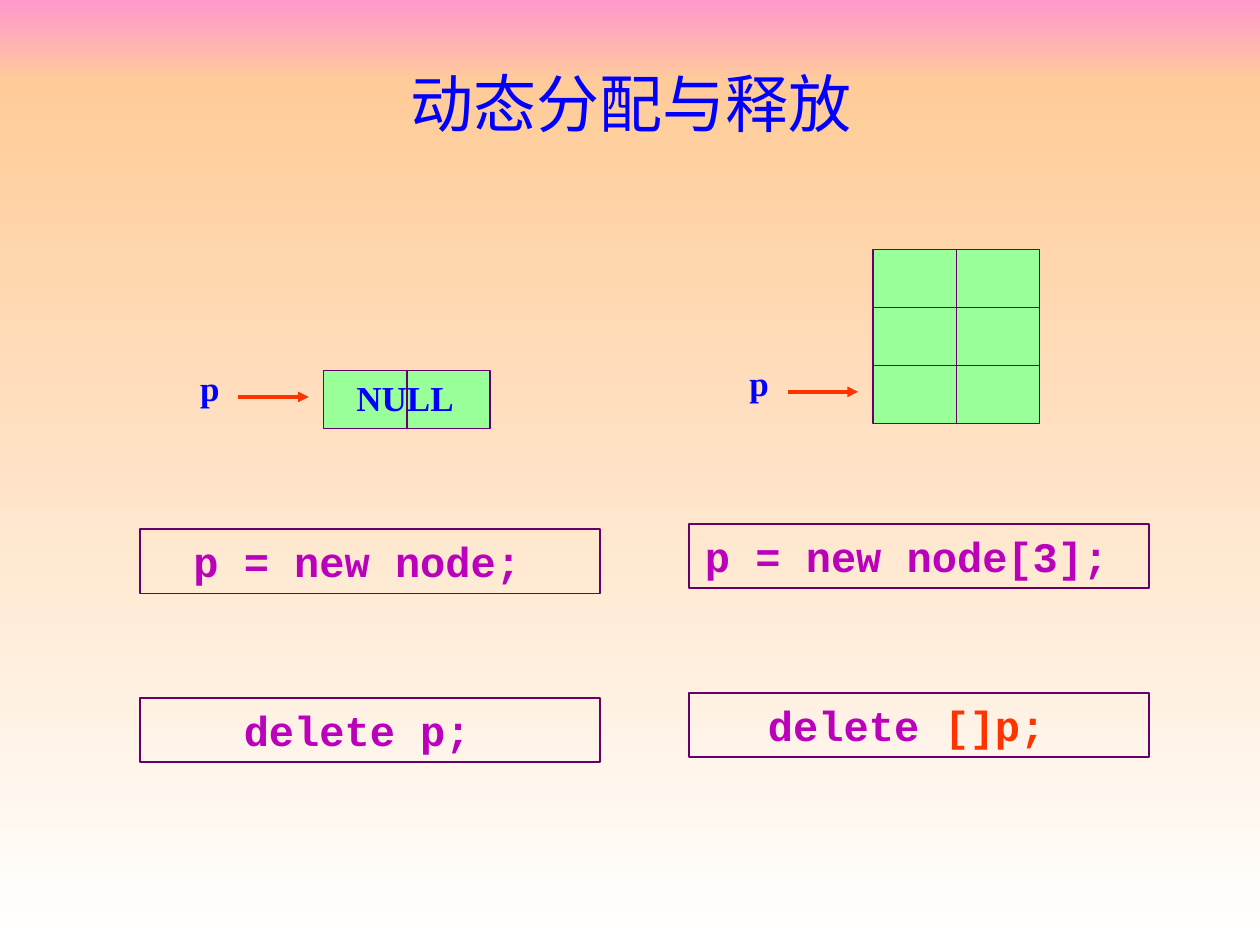
from lxml import etree
from pptx import Presentation
from pptx import util as u
from pptx.dml.color import RGBColor
from pptx.enum import shapes, text
from pptx.oxml.ns import qn

PINK = RGBColor(0xFF, 0x99, 0xCC)
PEACH = RGBColor(0xFF, 0xCC, 0x99)
WHITE = RGBColor(0xFF, 0xFF, 0xFF)
BLUE = RGBColor(0x00, 0x00, 0xFF)
GREEN = RGBColor(0x99, 0xFF, 0x99)
PLUM = RGBColor(0x66, 0x00, 0x66)
MAGENTA = RGBColor(0xBA, 0x00, 0xBA)
RED = RGBColor(0xFF, 0x33, 0x00)

CJK = "Noto Sans CJK SC"
TITLE = {"size": u.Pt(36), "name": CJK, "bold": False}
CODE = {"size": u.Pt(24), "name": "Courier New", "bold": True}
LABEL = {"size": u.Pt(20), "name": "Times New Roman", "bold": True}
CELL_WIDTH, CELL_HEIGHT = 0.66, 0.46


def add_span(para, words, style, colour):
    """Append one formatted run to a paragraph."""
    span = para.add_run()
    span.text = words
    for key, value in style.items():
        setattr(span.font, key, value)
    span.font.color.rgb = colour
    return span


def add_box(parent, left, top, width, height):
    """Add a plain rectangle without fill or shadow."""
    box = parent.shapes.add_shape(
        shapes.MSO_SHAPE.RECTANGLE, *map(u.Inches, (left, top, width, height)))
    box.shadow.inherit = False
    box.fill.background()
    return box


def outline(box, points):
    """Give a rectangle its plum outline."""
    box.line.color.rgb = PLUM
    box.line.width = u.Pt(points)


def add_band(page, top, height, colours):
    """Add a full-width vertical gradient behind the title."""
    band = add_box(page, 0, top, 10, height)
    band.line.fill.background()
    band.fill.gradient()
    band.fill.gradient_angle = 270
    for stop, position, colour in zip(band.fill.gradient_stops, (0, 1), colours):
        stop.position = position
        stop.color.rgb = colour
    page.shapes.title.element.addprevious(band.element)


def add_title(page, left, top, width, height, words):
    """Place and format the slide title."""
    title = page.shapes.title
    for key, value in zip(("left", "top", "width", "height"), (left, top, width, height)):
        setattr(title, key, u.Inches(value))
    title.text_frame.vertical_anchor = text.MSO_ANCHOR.MIDDLE
    para = title.text_frame.paragraphs[0]
    para.alignment = text.PP_ALIGN.CENTER
    span = add_span(para, words, TITLE, BLUE)
    properties = span.font._element
    etree.SubElement(properties, qn("a:ea")).set("typeface", CJK)


def add_label(parent, left, top, width, words):
    """Add a bold blue label."""
    box = parent.shapes.add_textbox(*map(u.Inches, (left, top, width, 0.43)))
    add_span(box.text_frame.paragraphs[0], words, LABEL, BLUE)


def add_pointer(page, left, top):
    """Group the pointer name with its arrow."""
    group = page.shapes.add_group_shape()
    add_label(group, left, top, 0.36, "p")
    y = top + 0.29
    arrow = group.shapes.add_connector(
        shapes.MSO_CONNECTOR.STRAIGHT, *map(u.Inches, (left + 0.4, y, left + 0.96, y)))
    arrow.line.color.rgb = RED
    arrow.line.width = u.Pt(2)
    etree.SubElement(arrow.line._get_or_add_ln(), qn("a:tailEnd")).set("type", "triangle")
    etree.SubElement(arrow.element.spPr, qn("a:effectLst"))


def add_nodes(page, left, bottom, count):
    """Stack two-cell nodes upwards from the bottom."""
    group = page.shapes.add_group_shape()
    for row in range(count):
        for column in range(2):
            cell = add_box(group, left + column * CELL_WIDTH,
                           bottom - (row + 1) * CELL_HEIGHT, CELL_WIDTH, CELL_HEIGHT)
            cell.fill.solid()
            cell.fill.fore_color.rgb = GREEN
            outline(cell, 0.75)


def add_code(page, left, top, spans):
    """Add an outlined statement made of coloured spans."""
    box = add_box(page, left, top, 3.65, 0.51)
    outline(box, 1)
    frame = box.text_frame
    frame.word_wrap = True
    frame.vertical_anchor = text.MSO_ANCHOR.TOP
    para = frame.paragraphs[0]
    para.alignment = text.PP_ALIGN.CENTER
    for words, colour in spans:
        add_span(para, words, CODE, colour)


def add_panel(page, left, top, count, statements):
    """Add one allocation example: pointer, nodes and statements."""
    add_pointer(page, left + 0.38, top + 0.84)
    add_nodes(page, left + 1.46, top + 3 * CELL_HEIGHT, count)
    for index, spans in enumerate(statements):
        add_code(page, left, top + 2.18 + index * 1.34, spans)


def main():
    """Build and save the slide."""
    deck = Presentation()
    deck.slide_width, deck.slide_height = u.Inches(10), u.Inches(7.5)
    page = deck.slides.add_slide(deck.slide_layouts.get_by_name("Title Only"))
    add_band(page, 0, 0.67, (PINK, PEACH))
    add_band(page, 0.67, 6.83, (PEACH, WHITE))
    add_title(page, 0.76, 0.43, 8.5, 0.76, "动态分配与释放")
    add_panel(page, 1.11, 2.02, 1,
              [[("p = new node; ", MAGENTA)], [("delete p; ", MAGENTA)]])
    add_label(page, 2.73, 2.94, 0.98, "NULL")
    add_panel(page, 5.47, 1.98, 3,
              [[("p = new node[3]; ", MAGENTA)],
               [("delete ", MAGENTA), ("[]p; ", RED)]])
    deck.save("out.pptx")


if __name__ == "__main__":
    main()
